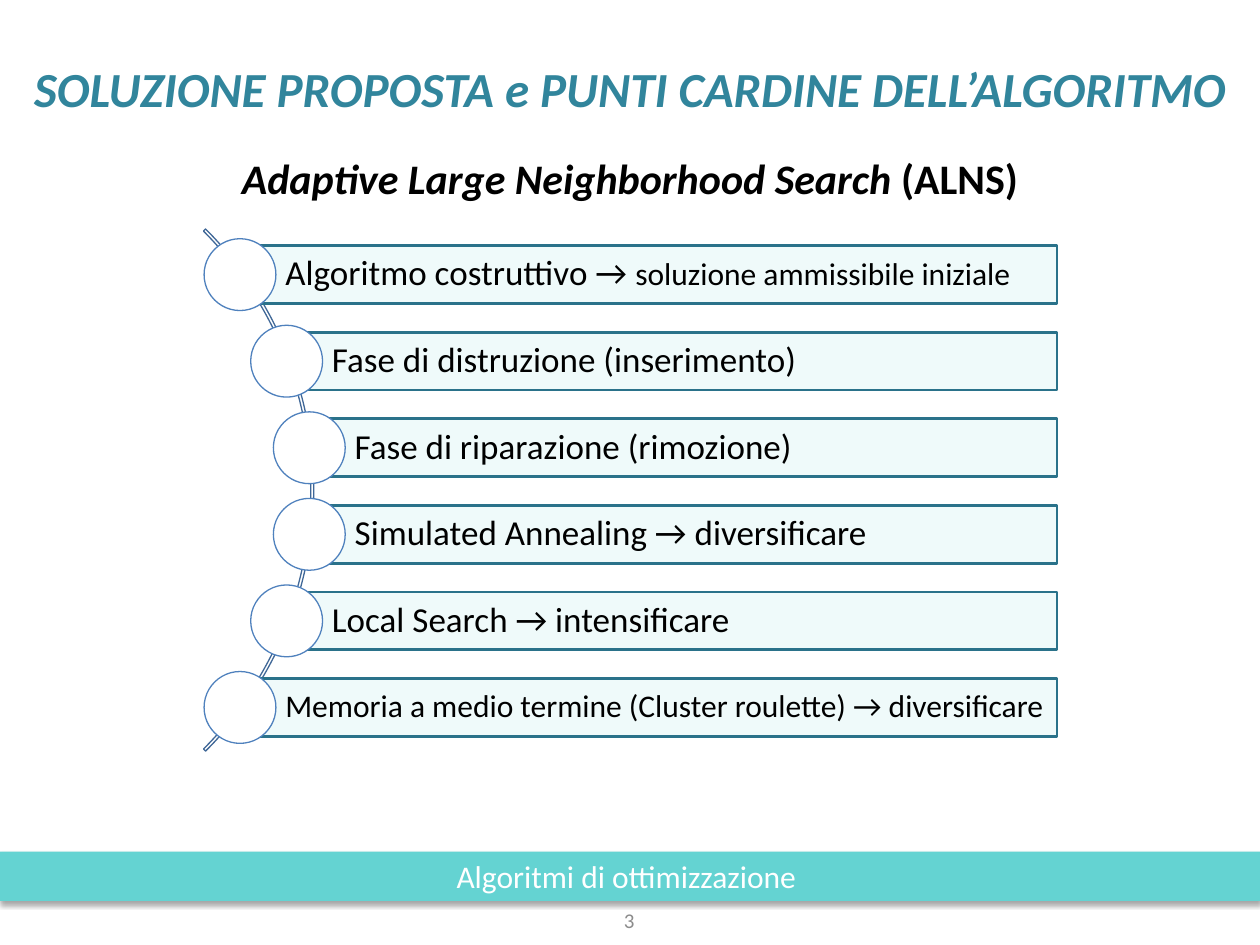
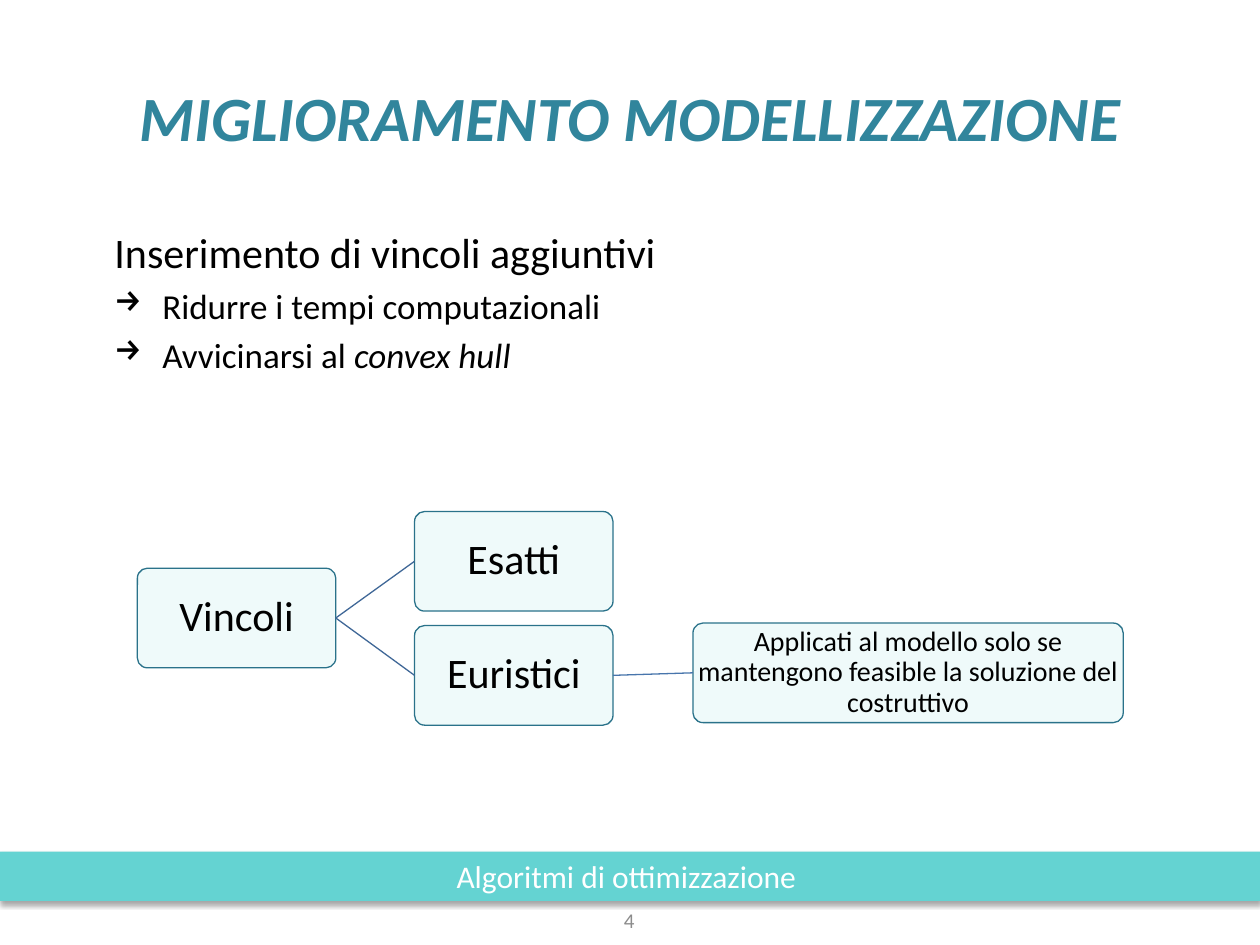
from dataclasses import dataclass
from typing import NamedTuple

from lxml import etree
from pptx import Presentation
from pptx import util as u
from pptx.dml.color import RGBColor
from pptx.enum import shapes, text
from pptx.oxml.ns import qn

# Grid: 100 columns by 75 rows over a 10 x 7.5 inch slide
COLS, ROWS = 100, 75
SLIDE_W, SLIDE_H = u.Inches(10), u.Inches(7.5)


@dataclass(frozen=True)
class Theme:
    font: str = "Calibri"
    title: str = "31859C"
    band: str = "64D3D2"
    edge: str = "2A728A"
    ring: str = "4F81BD"
    link: str = "3F6797"
    link_light: str = "4875AC"
    ink: str = "000000"
    paper: str = "FFFFFF"
    number: str = "8C8C8C"
    tint: int = 10          # opacity of panels, percent
    long_title: int = 28
    short_title: int = 36
    head: int = 24
    body: int = 20
    small: int = 18
    note: int = 16
    page: int = 12
    thin: float = 0.75
    thick: float = 1.5


T = Theme()
MSO = shapes.MSO_SHAPE
CENTER, LEFT = text.PP_ALIGN.CENTER, text.PP_ALIGN.LEFT
MIDDLE, TOP = text.MSO_ANCHOR.MIDDLE, text.MSO_ANCHOR.TOP


class Box(NamedTuple):
    col: float
    row: float
    cols: float
    rows: float

    def emu(self) -> tuple[int, ...]:
        return tuple(round(v * side / n) for v, side, n in zip(
            self, (SLIDE_W, SLIDE_H) * 2, (COLS, ROWS) * 2))


class Run(NamedTuple):
    text: str
    size: float
    color: str = T.ink
    bold: bool = False
    italic: bool = False


class Step(NamedTuple):
    circle_col: float
    runs: list[Run]
    pad: float = 0.06


class Node(NamedTuple):
    box: Box
    label: Run
    pad: float = 0.05


# Text
def write(p, runs: list[Run], align=LEFT, spacing: float = 1.0) -> None:
    p.alignment, p.line_spacing = align, spacing
    for run in runs:
        r = p.add_run()
        r.text = run.text
        f = r.font
        f.name, f.size = T.font, u.Pt(run.size)
        f.bold, f.italic = run.bold, run.italic
        f.color.rgb = RGBColor.from_string(run.color)


def frame(sp, anchor=MIDDLE, insets=(0.1, 0.05, 0.1, 0.05), wrap: bool = True):
    tf = sp.text_frame
    tf.word_wrap, tf.vertical_anchor = wrap, anchor
    tf.margin_left, tf.margin_top, tf.margin_right, tf.margin_bottom = map(u.Inches, insets)
    return tf


def add_label(s, box: Box, runs: list[Run], wrap: bool = True, anchor=MIDDLE) -> None:
    tf = frame(s.shapes.add_textbox(*box.emu()), anchor, wrap=wrap)
    write(tf.paragraphs[0], runs, CENTER)


def add_arrow_bullet(p, indent: float) -> None:
    pPr = p._p.get_or_add_pPr()
    pPr.set("marL", str(u.Inches(indent)))
    pPr.set("indent", str(-u.Inches(indent)))
    etree.SubElement(pPr, qn("a:buChar"), char="→")


# Shapes
def add_panel(s, kind, box: Box, fill: str | None, line: str | None,
              width: float = T.thin, alpha: int = 100):
    sp = s.shapes.add_shape(kind, *box.emu())
    sp.shadow.inherit = False
    if fill:
        sp.fill.solid()
        sp.fill.fore_color.rgb = RGBColor.from_string(fill)
        if alpha < 100:
            color = sp.fill._xPr.find(f".//{qn('a:srgbClr')}")
            etree.SubElement(color, qn("a:alpha"), val=str(alpha * 1000))
    else:
        sp.fill.background()
    if line:
        sp.line.color.rgb = RGBColor.from_string(line)
        sp.line.width = u.Pt(width)
    else:
        sp.line.fill.background()
    return sp


def add_drop_shadow(sp) -> None:
    effects = sp._element.spPr.find(qn("a:effectLst"))
    shadow = etree.SubElement(effects, qn("a:outerShdw"), blurRad=str(u.Pt(3.1)),
                              dist=str(u.Pt(1.8)), dir="5400000", rotWithShape="0")
    color = etree.SubElement(shadow, qn("a:srgbClr"), val=T.ink)
    etree.SubElement(color, qn("a:alpha"), val="35000")


def add_link(s, start, end, color: str) -> None:
    c = s.shapes.add_connector(shapes.MSO_CONNECTOR.STRAIGHT, 0, 0, 0, 0)
    c.begin_connect(start, 3)   # right side
    c.end_connect(end, 1)       # left side
    c.line.color.rgb = RGBColor.from_string(color)
    c.line.width = u.Pt(T.thin)
    etree.SubElement(c._element.spPr, qn("a:effectLst"))


# Parts every slide shares: footer band, title, page number
def add_base(prs, title: str, box: Box, size: int, page: int):
    s = prs.slides.add_slide(prs.slide_layouts[6])
    band = add_panel(s, MSO.RECTANGLE, Box(0, 67.6, COLS, 3.9), T.band, None)
    add_drop_shadow(band)
    footer = Run("Algoritmi di ottimizzazione ", T.small, T.paper)
    write(frame(band).paragraphs[0], [footer], CENTER)
    add_label(s, box, [Run(title, size, T.title, bold=True, italic=True)])
    add_label(s, Box(38.3, 71, 23.3, 4), [Run(str(page), T.page, T.number)])
    return s


# Slide: algorithm steps along an arc
STEPS = [
    Step(16.2, [Run("Algoritmo costruttivo → ", T.body),
                Run("soluzione ammissibile iniziale", T.small)]),
    Step(19.9, [Run("Fase di distruzione (inserimento)", T.body)]),
    Step(21.7, [Run("Fase di riparazione (rimozione)", T.body)]),
    Step(21.7, [Run("Simulated Annealing → diversificare", T.body)]),
    Step(19.9, [Run("Local Search → intensificare", T.body)]),
    Step(16.2, [Run("Memoria a medio termine (Cluster roulette) → diversificare",
                    T.small)], pad=0.05),
]
FIRST_ROW, ROW_PITCH, BAR_ROWS, BAR_END, CIRCLE = 19.5, 6.87, 4.6, 83.9, 5.7


def add_step(s, i: int, step: Step) -> None:
    row = FIRST_ROW + i * ROW_PITCH
    left = step.circle_col + CIRCLE / 2
    bar = add_panel(s, MSO.RECTANGLE, Box(left, row, BAR_END - left, BAR_ROWS),
                    T.band, T.edge, T.thick, T.tint)
    tf = frame(bar, insets=(0.36, step.pad, step.pad, step.pad))
    write(tf.paragraphs[0], step.runs, spacing=0.9)
    add_panel(s, MSO.OVAL, Box(step.circle_col, row - (CIRCLE - BAR_ROWS) / 2, CIRCLE, CIRCLE),
              T.paper, T.ring)


def build_algorithm(prs) -> None:
    s = add_base(prs, "SOLUZIONE PROPOSTA e PUNTI CARDINE DELL’ALGORITMO",
                 Box(0, 0.7, COLS, 12.5), T.long_title, 3)
    arc = add_panel(s, MSO.BLOCK_ARC, Box(-33.7, 9.6, 58.6, 58.6), None, T.link)
    for i, value in enumerate((189, 27, 0.004)):   # 315 to 45 degrees, hairline band
        arc.adjustments[i] = value
    for i, step in enumerate(STEPS):
        add_step(s, i, step)
    add_label(s, Box(17.8, 11.6, 64.4, 5),
              [Run("Adaptive Large Neighborhood Search", T.head, bold=True, italic=True),
               Run(" (ALNS)", T.head, bold=True)], wrap=False, anchor=TOP)


# Slide: constraints and their tree
AIMS = [
    [Run("Inserimento di vincoli aggiuntivi", T.head)],
    [Run("Ridurre i tempi computazionali", T.body)],
    [Run("Avvicinarsi al ", T.body), Run("convex hull", T.body, italic=True)],
]
NODE_COLS, NODE_ROWS = 15.75, 7.9
NODES = {
    "root": Node(Box(10.9, 45.1, NODE_COLS, NODE_ROWS), Run("Vincoli", T.head)),
    "exact": Node(Box(32.9, 40.6, NODE_COLS, NODE_ROWS), Run("Esatti", T.head)),
    "heuristic": Node(Box(32.9, 49.65, NODE_COLS, NODE_ROWS), Run("Euristici", T.head)),
    "rule": Node(Box(55, 49.45, 34.15, NODE_ROWS),
                 Run("Applicati al modello solo se mantengono feasible la soluzione "
                     "del costruttivo", T.note), pad=0.04),
}
LINKS = [("root", "exact", T.link), ("root", "heuristic", T.link),
         ("heuristic", "rule", T.link_light)]


def add_node(s, node: Node):
    sp = add_panel(s, MSO.ROUNDED_RECTANGLE, node.box, T.band, T.edge, alpha=T.tint)
    sp.adjustments[0] = 0.1
    # The rounded corner already adds a small inset of its own
    tf = frame(sp, insets=(node.pad - 0.03,) * 4)
    write(tf.paragraphs[0], [node.label], CENTER, 0.9)
    return sp


def build_constraints(prs) -> None:
    s = add_base(prs, "MIGLIORAMENTO MODELLIZZAZIONE", Box(5, 3, 90, 12.5), T.short_title, 4)
    tf = frame(s.shapes.add_textbox(*Box(8.1, 17.5, 83.8, 49.5).emu()), TOP)
    for i, runs in enumerate(AIMS):
        p = tf.add_paragraph() if i else tf.paragraphs[0]
        write(p, runs)
        p.space_before = u.Pt(runs[0].size * 0.2)
        if i:
            add_arrow_bullet(p, 0.38)
    drawn = {name: add_node(s, node) for name, node in NODES.items()}
    for start, end, color in LINKS:
        add_link(s, drawn[start], drawn[end], color)


def main() -> None:
    prs = Presentation()
    prs.slide_width, prs.slide_height = SLIDE_W, SLIDE_H
    build_algorithm(prs)
    build_constraints(prs)
    prs.save("out.pptx")


if __name__ == "__main__":
    main()
